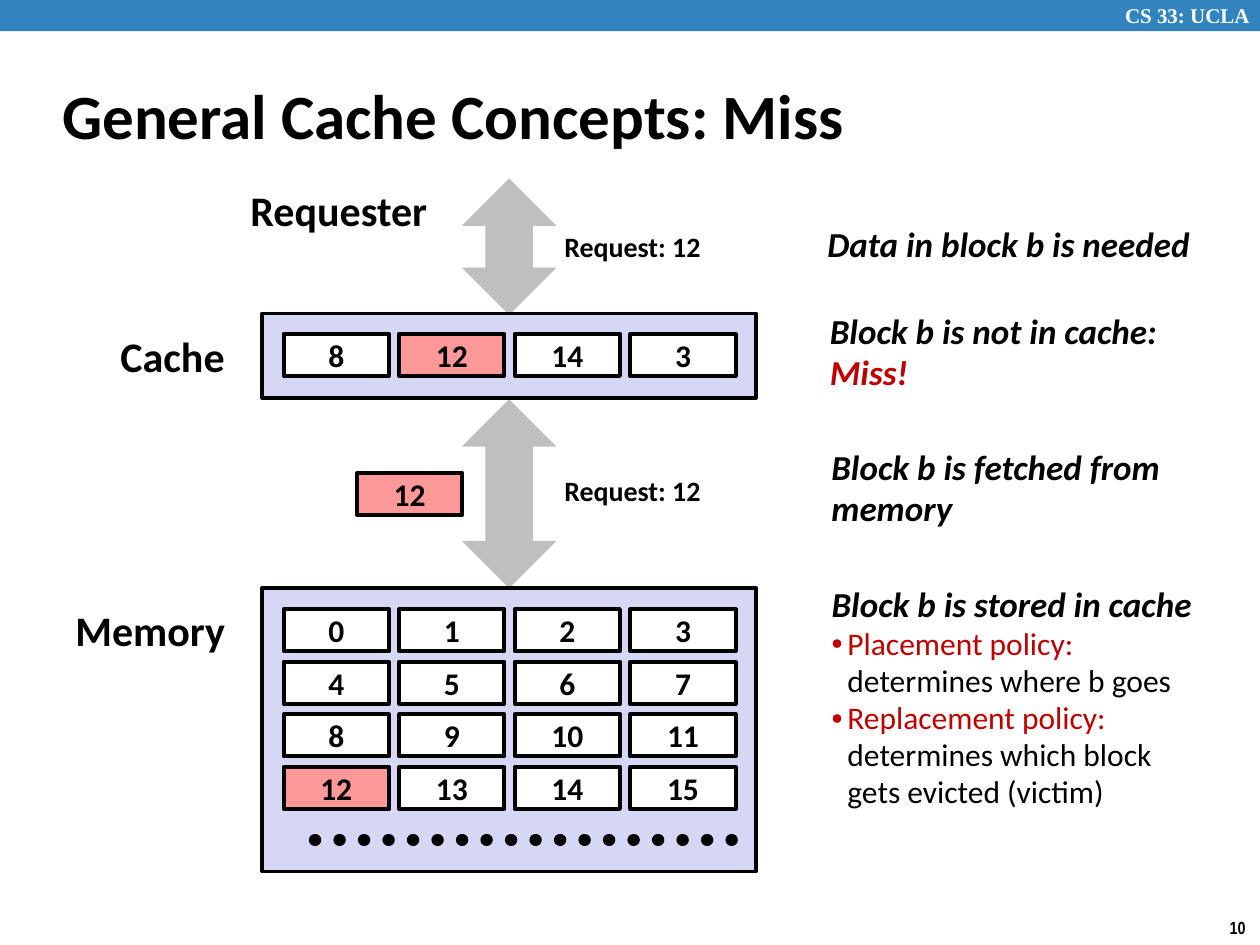
from lxml.etree import SubElement
from pptx import Presentation
from pptx.dml.color import RGBColor
from pptx.enum.dml import MSO_LINE
from pptx.enum.shapes import MSO_CONNECTOR, MSO_SHAPE as Shape
from pptx.enum.text import MSO_ANCHOR as Anchor, MSO_AUTO_SIZE as AutoSize, PP_ALIGN as Align
from pptx.oxml.ns import qn
from pptx.util import Cm, Pt

BLACK = RGBColor(0x00, 0x00, 0x00)
WHITE = RGBColor(0xFF, 0xFF, 0xFF)
HEADER_BLUE = RGBColor(0x32, 0x84, 0xBF)
ARROW_GRAY = RGBColor(0xBF, 0xBF, 0xBF)
LAVENDER = RGBColor(0xD6, 0xD6, 0xF5)
PINK = RGBColor(0xFF, 0x99, 0x99)
RED = RGBColor(0xC0, 0x00, 0x00)

# Block grid, in centimetres
GRID_LEFT, COLUMN_STEP, ROW_STEP = 5.72, 2.33, 1.06
BLOCK_WIDTH, BLOCK_HEIGHT = 2.12, 0.85
NOTE = dict(size=20, italic=True, spacing=0.98)


def write(frame, text, para=None, size=18, color=BLACK, bold=True, italic=False,
          font="Calibri", align=Align.LEFT, spacing=1.0):
    """Write text into a new paragraph, or continue the given one."""
    if para is None:
        para = frame.paragraphs[0]
        if para.runs:
            para = frame.add_paragraph()
        para.alignment = align
        para.line_spacing = spacing
        para.space_before = Pt(0)
    for number, line in enumerate(text.split("\n")):
        if number:
            para.add_line_break()
        if not line:
            continue
        span = para.add_run()
        span.text = line
        span.font.size = Pt(size)
        span.font.color.rgb = color
        span.font.bold = bold
        span.font.italic = italic
        span.font.name = font
    return para


def set_indent(para, bullet=None, margin=0.0, hanging=0.0):
    props = para._p.get_or_add_pPr()
    props.set("marL", str(Cm(margin)))
    props.set("indent", str(-Cm(hanging)))
    if bullet:
        SubElement(props, qn("a:buChar")).set("char", bullet)
    else:
        SubElement(props, qn("a:buNone"))


def add_label(page, text, left, top, width, height, anchor=Anchor.TOP, **style):
    box = page.shapes.add_textbox(Cm(left), Cm(top), Cm(width), Cm(height))
    frame = box.text_frame
    frame.word_wrap = False
    frame.vertical_anchor = anchor
    write(frame, text, **style)
    return frame


def add_figure(page, kind, left, top, width, height, fill, outlined=False):
    figure = page.shapes.add_shape(kind, Cm(left), Cm(top), Cm(width), Cm(height))
    figure.shadow.inherit = False
    figure.fill.solid()
    figure.fill.fore_color.rgb = fill
    if outlined:
        figure.line.color.rgb = BLACK
        figure.line.width = Pt(2.25)
    else:
        figure.line.fill.background()
    return figure


def add_block(page, number, left, top):
    fill = PINK if number == 12 else WHITE
    block = add_figure(page, Shape.RECTANGLE, left, top, BLOCK_WIDTH, BLOCK_HEIGHT, fill, True)
    block.text_frame.vertical_anchor = Anchor.MIDDLE
    write(block.text_frame, str(number), align=Align.CENTER)


def add_block_grid(page, numbers, top):
    for index, number in enumerate(numbers):
        row, column = divmod(index, 4)
        add_block(page, number, GRID_LEFT + column * COLUMN_STEP, top + row * ROW_STEP)


def add_dots(page, left, right, y):
    dots = page.shapes.add_connector(MSO_CONNECTOR.STRAIGHT, Cm(left), Cm(y), Cm(right), Cm(y))
    dots.line.color.rgb = BLACK
    dots.line.width = Pt(7)
    dots.line.dash_style = MSO_LINE.ROUND_DOT
    props = dots._element.spPr
    props.get_or_add_ln().set("cap", "rnd")
    SubElement(props, qn("a:effectLst"))


def place(holder, left, top, width, height):
    holder.left, holder.top = Cm(left), Cm(top)
    holder.width, holder.height = Cm(width), Cm(height)
    frame = holder.text_frame
    frame.vertical_anchor = Anchor.MIDDLE
    frame.auto_size = AutoSize.NONE
    return frame


def add_policies(holder):
    frame = place(holder, 16.51, 11.63, 7.8, 4.88)
    frame.word_wrap = False
    set_indent(write(frame, "Block b is stored in cache", **NOTE))
    policies = (
        ("Placement policy:\n", "determines where b goes"),
        ("Replacement policy:\n", "determines which block\ngets evicted (victim)"),
    )
    for name, meaning in policies:
        para = write(frame, name, color=RED, bold=False, spacing=0.98)
        set_indent(para, "•", 0.32, 0.32)
        write(frame, meaning, para, bold=False)


def main():
    deck = Presentation()
    deck.slide_width, deck.slide_height = Cm(25.4), Cm(19.05)
    page = deck.slides.add_slide(deck.slide_layouts[1])

    # Header bar and page number
    add_figure(page, Shape.RECTANGLE, 0, 0, 25.4, 0.63, HEADER_BLUE)
    add_label(page, "CS 33: UCLA", 22.43, -0.08, 3.15, 0.76,
              size=12, color=WHITE, font="Times New Roman")
    add_label(page, "10", 24.54, 18.36, 0.86, 0.69, size=10, font="Arial Narrow")

    # Title
    title = place(page.shapes.title, 1, 1.25, 21.08, 2.1)
    write(title, "General Cache Concepts: Miss", size=36)

    # Arrows between the levels
    for top, height in ((3.6, 2.75), (8.05, 3.81)):
        add_figure(page, Shape.UP_DOWN_ARROW, 9.31, top, 1.91, height, ARROW_GRAY)

    # Cache and memory with their blocks
    for top, height in ((6.32, 1.7), (11.85, 5.72)):
        add_figure(page, Shape.RECTANGLE, 5.29, top, 9.95, height, LAVENDER, True)
    add_block_grid(page, (8, 12, 14, 3), 6.73)
    add_block_grid(page, range(16), 12.28)
    add_dots(page, 6.35, 14.82, 16.93)
    add_block(page, 12, 7.2, 9.53)

    # Level names and requests
    for text, left, top, width in (("Requester", 4.8, 3.6, 4.11),
                                   ("Cache", 2.18, 6.53, 2.64),
                                   ("Memory", 1.27, 12.07, 3.56)):
        add_label(page, text, left, top, width, 1.27, size=24)
    for top in (4.5, 9.42):
        add_label(page, "Request: 12", 11.1, top, 3.3, 0.94, size=16, align=Align.CENTER)

    # Explanations of each step
    add_label(page, "Data in block b is needed", 16.43, 4.39, 7.85, 1.09, Anchor.MIDDLE, **NOTE)
    missing = add_label(page, "Block b is not in cache:", 16.48, 6.15, 7.14, 1.93,
                        Anchor.MIDDLE, **NOTE)
    write(missing, "Miss!", color=RED, **NOTE)
    fetched = add_label(page, "Block b is fetched from", 16.51, 8.89, 7.19, 1.93,
                        Anchor.MIDDLE, **NOTE)
    write(fetched, "memory", **NOTE)
    add_policies(page.placeholders[1])

    deck.save("out.pptx")


if __name__ == "__main__":
    main()
